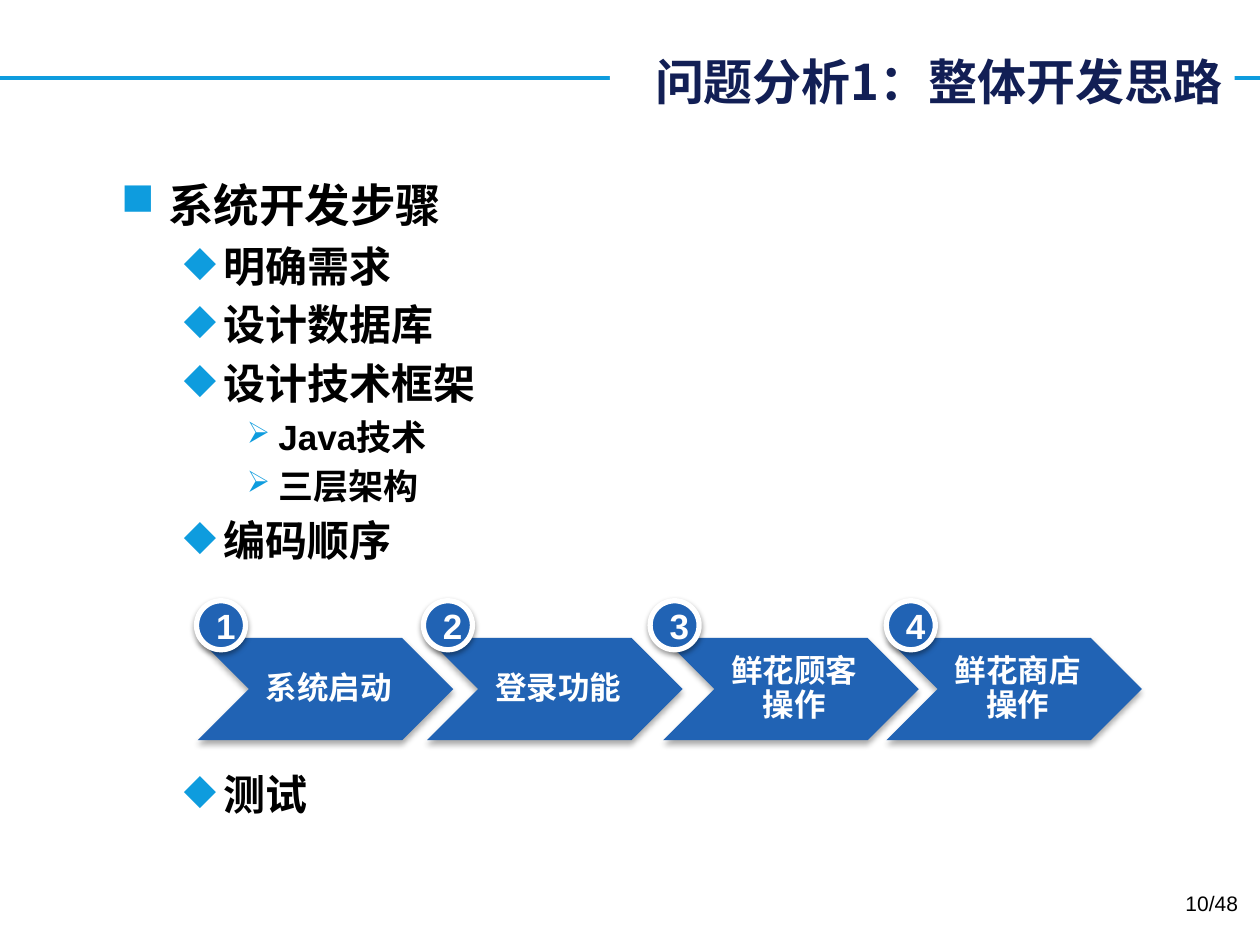
from pptx import Presentation
from pptx.util import Pt
from pptx.dml.color import RGBColor as RGB
from pptx.enum.shapes import MSO_SHAPE as Shp, MSO_CONNECTOR as Con
from pptx.enum.text import PP_ALIGN as Al, MSO_ANCHOR as Anc
from pptx.oxml.ns import qn
from lxml.etree import SubElement as Sub

TITLE = "问题分析1：整体开发思路"
PAGE = "10/48"
BODY = [
    (0, "系统开发步骤"),
    (1, "明确需求"),
    (1, "设计数据库"),
    (1, "设计技术框架"),
    (2, "Java技术"),
    (2, "三层架构"),
    (1, "编码顺序"),
    (1, "测试"),
]
STEPS = [
    ("系统启动", 113, 112.3),
    ("登录功能", 244, 242),
    ("鲜花顾客操作", 379, 371.5),
    ("鲜花商店操作", 506.5, 506.5),
]
LEVELS = [
    dict(size=26, left=27, hang=27, mark="■", scale=100, line=33, gap=0),
    dict(size=24, left=58.5, hang=22.5, mark="◆", scale=100, line=28, gap=5.6),
    dict(size=20, left=90, hang=18, mark="➢", scale=85, line=23.4, gap=4.6),
]
FLOWGAP = 117
THEME = dict(
    font="Arial", cjk="Noto Sans CJK SC", navy="121F55", sky="0E9CDE",
    blue="2163B4", white="FFFFFF", black="000000",
    title=28, step=18, badge=20, page=12,
)


def tint(name):
    return RGB.from_string(THEME[name])


def style(para, text, size, color, bold=True, face="font", **fmt):
    run = para.add_run()
    run.text = text
    look = dict(name=THEME[face], size=Pt(size), bold=bold)
    for key, val in look.items():
        setattr(run.font, key, val)
    run.font.color.rgb = tint(color)
    Sub(run.font._element, qn("a:ea"), typeface=THEME["cjk"])
    for key, val in fmt.items():
        setattr(para, key, val)


def frame(shape, **fmt):
    text = shape.text_frame
    for key, val in dict(word_wrap=True, **fmt).items():
        setattr(text, key, val)
    return text


def box(slide, *at, **fmt):
    return frame(slide.shapes.add_textbox(*map(Pt, at)), **fmt)


def solid(slide, kind, at, color):
    shape = slide.shapes.add_shape(kind, *map(Pt, at))
    shape.shadow.inherit = False
    shape.fill.solid()
    shape.fill.fore_color.rgb = tint(color)
    shape.line.fill.background()
    return shape


def shade(shape, alpha, blur, dist):
    fx = shape._element.spPr.find(qn("a:effectLst"))
    outer = Sub(fx, qn("a:outerShdw"), blurRad=str(Pt(blur)),
                dist=str(Pt(dist)), dir="5400000", rotWithShape="0")
    color = Sub(outer, qn("a:srgbClr"), val=THEME["black"])
    Sub(color, qn("a:alpha"), val=str(alpha * 1000))


def bullet(para, level):
    props = para._p.get_or_add_pPr()
    props.set("marL", str(Pt(level["left"])))
    props.set("indent", str(-Pt(level["hang"])))
    color = Sub(props, qn("a:buClr"))
    Sub(color, qn("a:srgbClr"), val=THEME["sky"])
    Sub(props, qn("a:buSzPct"), val=str(level["scale"] * 1000))
    Sub(props, qn("a:buChar"), char=level["mark"])


def head(slide):
    rule = slide.shapes.add_connector(Con.STRAIGHT, 0, Pt(44.6), Pt(720), Pt(44.6))
    rule.line.color.rgb = tint("sky")
    rule.line.width = Pt(2.25)
    Sub(rule._element.spPr, qn("a:effectLst"))
    bar = solid(slide, Shp.RECTANGLE, (348.5, 26, 357, 41), "white")
    text = frame(bar, vertical_anchor=Anc.MIDDLE, margin_top=0, margin_bottom=0)
    style(text.paragraphs[0], TITLE, THEME["title"], "navy", face="cjk", alignment=Al.RIGHT)


def body(slide):
    text = box(slide, 62, 95.8, 602, 405)
    for num, (depth, words) in enumerate(BODY):
        para = text.paragraphs[0] if num == 0 else text.add_paragraph()
        level = LEVELS[depth]
        gap = FLOWGAP if num == len(BODY) - 1 else level["gap"]
        para.level = depth
        para.line_spacing = Pt(level["line"])
        if num:
            para.space_before = Pt(gap)
        bullet(para, level)
        style(para, words, level["size"], "black")


def flow(slide):
    for words, left, _ in STEPS:
        arrow = solid(slide, Shp.CHEVRON, (left, 364.5, 146, 58.5), "blue")
        shade(arrow, 32, 3.5, 2.2)
        text = box(slide, left + 29, 364.5, 88, 58.5, vertical_anchor=Anc.MIDDLE,
                   margin_left=Pt(6), margin_right=Pt(2),
                   margin_top=Pt(2), margin_bottom=Pt(2))
        style(text.paragraphs[0], words, THEME["step"], "white",
              alignment=Al.CENTER, line_spacing=Pt(19.4))
    for num, (_, _, left) in enumerate(STEPS, 1):
        badge = solid(slide, Shp.OVAL, (left, 343.3, 28, 28), "blue")
        badge.line.color.rgb = tint("white")
        badge.line.width = Pt(3)
        shade(badge, 38, 3.1, 1.6)
        text = frame(badge, vertical_anchor=Anc.MIDDLE)
        style(text.paragraphs[0], str(num), THEME["badge"], "white", alignment=Al.LEFT)


def main():
    """Build the slide on the steps of system development."""
    deck = Presentation()
    deck.slide_width, deck.slide_height = Pt(720), Pt(540)
    slide = deck.slides.add_slide(deck.slide_layouts[6])
    head(slide)
    body(slide)
    flow(slide)
    foot = box(slide, 546.5, 505.5, 168, 29)
    style(foot.paragraphs[0], PAGE, THEME["page"], "black", bold=False, alignment=Al.RIGHT)
    deck.save("out.pptx")


if __name__ == "__main__":
    main()
